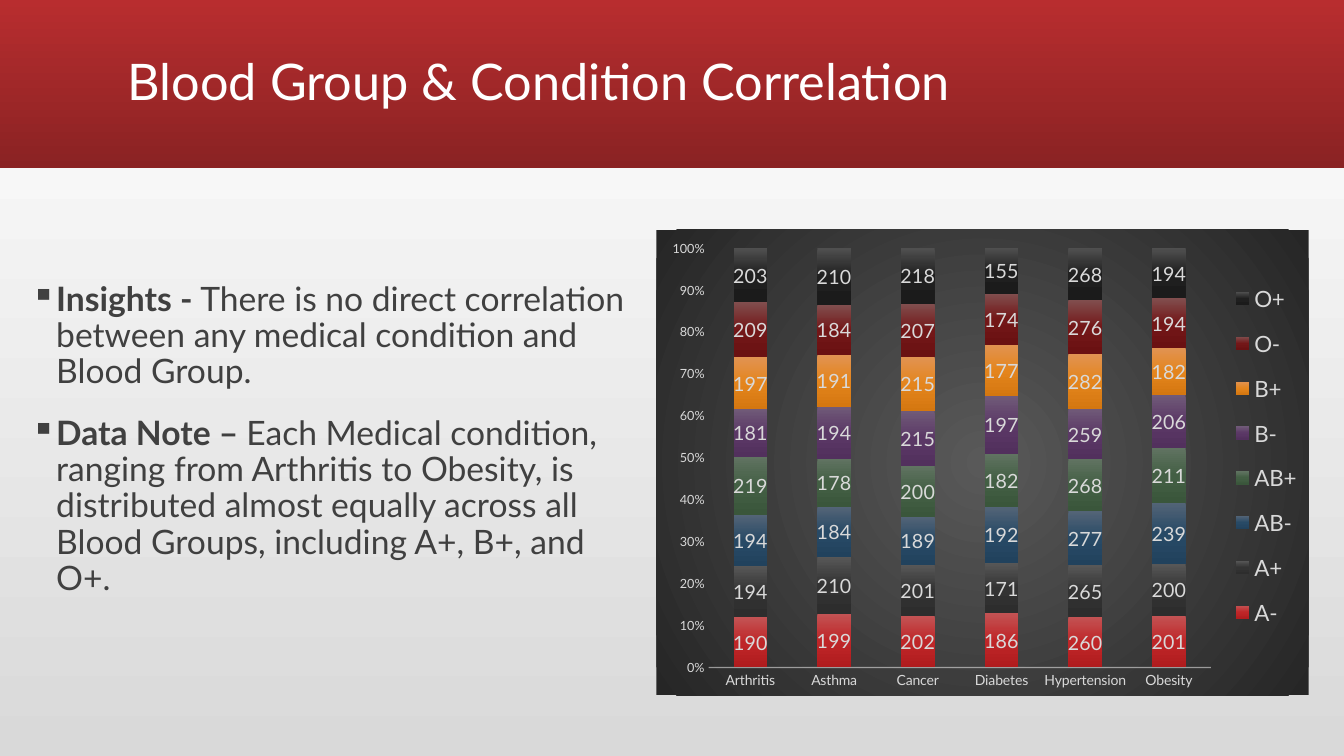
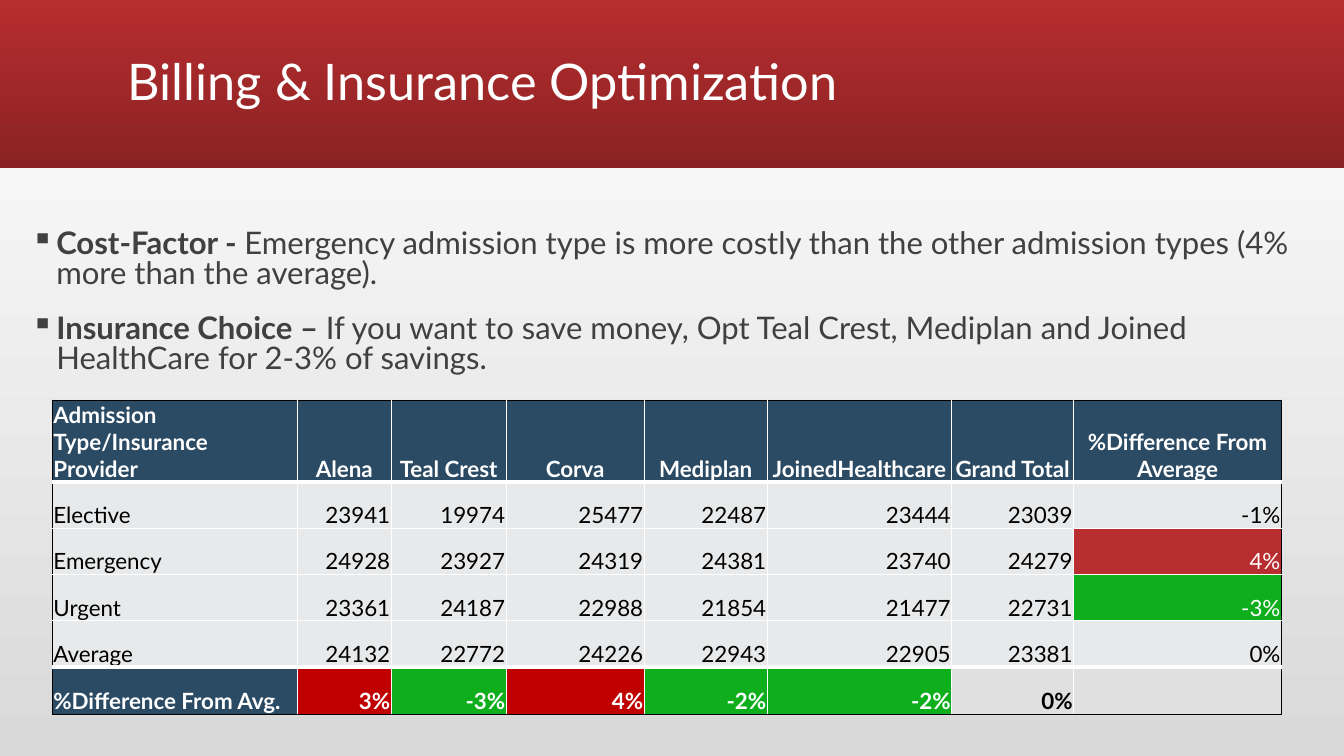
from lxml import etree
from pptx import Presentation, util as u
from pptx.chart.data import CategoryChartData
from pptx.dml.color import RGBColor
from pptx.enum import chart as ch, shapes, text
from pptx.oxml import parse_xml
from pptx.oxml.ns import nsdecls, qn

FONT = "Lato"
WHITE, BLACK, INK, PALE = "FFFFFF", "000000", "404040", "D9D9D9"
RED, WINE, NAVY = "B82D2F", "8A2223", "2B4A63"
GREEN, ALERT, CELL, TOTAL = "0EAE1D", "C00000", "E8E9EA", "E0E0E1"

CONDITIONS = ["Arthritis", "Asthma", "Cancer", "Diabetes", "Hypertension", "Obesity"]
GROUPS = [
    ("A-", [190, 199, 202, 186, 260, 201], ["C35354", "BF2628", "B01C1E"]),
    ("A+", [194, 210, 201, 171, 265, 200], ["575757", "333333", "2D2D2D"]),
    ("AB-", [194, 184, 189, 192, 277, 239], ["536477", "284A66", "21425D"]),
    ("AB+", [219, 178, 200, 182, 268, 211], ["607361", "435F44", "3A563B"]),
    ("B-", [181, 194, 215, 197, 259, 206], ["705A78", "5B3866", "52305D"]),
    ("B+", [197, 191, 215, 177, 282, 182], ["E19352", "E4851D", "D47710"]),
    ("O-", [209, 184, 207, 174, 276, 194], ["814E4E", "731718", "6A1112"]),
    ("O+", [203, 210, 218, 155, 268, 194], ["4F4F4F", "1F1F1F", "1B1B1B"]),
]

COSTS = [
    ["Admission Type/Insurance Provider", "Alena", "Teal Crest", "Corva",
     "Mediplan", "JoinedHealthcare", "Grand Total", "%Difference From Average"],
    ["Elective", "23941", "19974", "25477", "22487", "23444", "23039", "-1%"],
    ["Emergency", "24928", "23927", "24319", "24381", "23740", "24279", "4%"],
    ["Urgent", "23361", "24187", "22988", "21854", "21477", "22731", "-3%"],
    ["Average", "24132", "22772", "24226", "22943", "22905", "23381", "0%"],
    ["%Difference From Avg.", "3%", "-3%", "4%", "-2%", "-2%", "0%", ""],
]
WIDTHS = [2.43, 0.93, 1.14, 1.37, 1.22, 1.83, 1.21, 2.06]
HEIGHTS = [0.55, 0.46, 0.46, 0.46, 0.46, 0.47]
LAST_ROW, LAST_COL = len(HEIGHTS) - 1, len(WIDTHS) - 1
MARKS = {(2, LAST_COL): RED, (3, LAST_COL): GREEN}


def rgb(code):
    return RGBColor.from_string(code)


def box(*lengths):
    return [u.Inches(n) for n in lengths]


def grad(stops, angle=None):
    """Gradient of evenly spaced colours: linear, or circular with no angle."""
    gaps = len(stops) - 1
    marks = "".join(
        f'<a:gs pos="{100000 * i // gaps}"><a:srgbClr val="{code}"/></a:gs>'
        for i, code in enumerate(stops))
    if angle is None:
        way = ('<a:path path="circle"><a:fillToRect l="50000" t="50000" '
               'r="50000" b="50000"/></a:path>')
    else:
        way = f'<a:lin ang="{angle * 60000}" scaled="0"/>'
    return parse_xml(f'<a:gradFill {nsdecls("a")} rotWithShape="1">'
                     f'<a:gsLst>{marks}</a:gsLst>{way}</a:gradFill>')


def shade(fill, root, stops, angle):
    """Swap a solid fill, the first one under root, for a gradient."""
    fill.solid()
    fill.fore_color.rgb = rgb(stops[0])
    old = root.find(".//" + qn("a:solidFill"))
    old.getparent().replace(old, grad(stops, angle))


def style(font, size, color, bold=False):
    font.name, font.size, font.bold = FONT, u.Pt(size), bold
    font.color.rgb = rgb(color)


def add_run(para, words, size, color, bold=False):
    run = para.add_run()
    run.text = words
    style(run.font, size, color, bold)


def add_frame(slide, area, anchor=text.MSO_ANCHOR.TOP):
    frame = slide.shapes.add_textbox(*box(*area)).text_frame
    frame.word_wrap, frame.vertical_anchor = True, anchor
    return frame


def add_page(deck, title):
    """Blank slide with the shared background, band and title."""
    slide = deck.slides.add_slide(deck.slide_layouts[6])
    shade(slide.background.fill, slide.element, [PALE, WHITE], 270)
    band = slide.shapes.add_shape(
        shapes.MSO_SHAPE.RECTANGLE, *box(0, 0, 13.33, 1.67))
    band.shadow.inherit = False
    band.line.fill.background()
    shade(band.fill, band.element, [RED, WINE], 90)
    frame = add_frame(slide, (1.17, 0.11, 11, 1.45), text.MSO_ANCHOR.MIDDLE)
    para = frame.paragraphs[0]
    para.line_spacing = 0.9
    add_run(para, title, 36, WHITE)
    return slide


def add_points(slide, area, size, spacing, points):
    """Bulleted paragraphs, each a bold lead and plain text."""
    frame = add_frame(slide, area)
    for i, (lead, body) in enumerate(points):
        para = frame.add_paragraph() if i else frame.paragraphs[0]
        para.line_spacing = spacing
        para.space_before = u.Pt(18 if i else 0)
        props = para._p.get_or_add_pPr()
        indent = u.Inches(0.25)
        props.set("marL", str(indent))
        props.set("indent", str(-indent))
        etree.SubElement(props, qn("a:buChar")).set("char", "▪")
        add_run(para, lead, size, INK, True)
        add_run(para, body, size, INK)


def place(parent, index, x, y, w, h, inner=False):
    """Fix a chart part at fractions of the chart area."""
    for old in parent.findall(qn("c:layout")):
        parent.remove(old)
    target = '<c:layoutTarget val="inner"/>' if inner else ""
    parent.insert(index, parse_xml(
        f'<c:layout {nsdecls("c")}><c:manualLayout>{target}'
        '<c:xMode val="edge"/><c:yMode val="edge"/>'
        f'<c:x val="{x}"/><c:y val="{y}"/><c:w val="{w}"/><c:h val="{h}"/>'
        '</c:manualLayout></c:layout>'))


def add_chart(slide, area):
    data = CategoryChartData()
    data.categories = CONDITIONS
    for name, values, _ in GROUPS:
        data.add_series(name, values)
    chart = slide.shapes.add_chart(
        ch.XL_CHART_TYPE.COLUMN_STACKED_100, *box(*area), data).chart
    style(chart.font, 10, BLACK)
    chart.has_title = False

    frame = parse_xml(f'<c:spPr {nsdecls("c", "a")}><a:ln><a:noFill/></a:ln></c:spPr>')
    frame.insert(0, grad(["595959", "262626"]))
    root = chart._chartSpace
    root.find(qn("c:chart")).addnext(frame)

    plot = chart.plots[0]
    plot.gap_width, plot.overlap, plot.vary_by_categories = 150, 100, False
    for series, (_, _, stops) in zip(plot.series, GROUPS):
        shade(series.format.fill, series._element, stops, 90)
        labels = series.data_labels
        labels.show_value = True
        labels.position = ch.XL_LABEL_POSITION.CENTER
        style(labels.font, 14, PALE)

    for axis, size in ((chart.category_axis, 10), (chart.value_axis, 9)):
        axis.major_tick_mark = axis.minor_tick_mark = ch.XL_TICK_MARK.NONE
        axis.has_major_gridlines = False
        style(axis.tick_labels.font, size, PALE)
    labels = chart.value_axis.tick_labels
    labels.number_format, labels.number_format_is_linked = "0%", False
    chart.value_axis.format.line.fill.background()
    line = chart.category_axis.format.line
    line.width = u.Pt(1)
    line.color.rgb = rgb("F2F2F2")
    tone = chart.category_axis._element.find(
        f'{qn("c:spPr")}//{qn("a:srgbClr")}')
    etree.SubElement(tone, qn("a:alpha")).set("val", "54000")

    chart.has_legend = True
    legend = chart.legend
    legend.position = ch.XL_LEGEND_POSITION.RIGHT
    legend.include_in_layout = False
    style(legend.font, 16, PALE)
    place(legend._element, 1, 0.88, 0.08, 0.11, 0.81)
    place(root.find(".//" + qn("c:plotArea")), 0, 0.08, 0.04, 0.77, 0.9, True)


def edge(cell, row, col):
    """Black outside, white inside, thick beside the first and last rows."""
    sides = [
        ("L", col == 0, False),
        ("R", col == LAST_COL, False),
        ("T", row == 0, row == LAST_ROW),
        ("B", row == LAST_ROW, row in (0, LAST_ROW - 1)),
    ]
    props = cell._tc.get_or_add_tcPr()
    for i, (side, outer, thick) in enumerate(sides):
        props.insert(i, parse_xml(
            f'<a:ln{side} {nsdecls("a")} w="{u.Pt(3 if thick else 1)}">'
            f'<a:solidFill><a:srgbClr val="{BLACK if outer else WHITE}"/>'
            f'</a:solidFill></a:ln{side}>'))


def tint(row, col, value):
    if row == 0 or (row == LAST_ROW and col == 0):
        return NAVY
    if row < LAST_ROW:
        return MARKS.get((row, col), CELL)
    if value in ("", "0%"):
        return TOTAL
    return GREEN if value.startswith("-") else ALERT


def add_table(slide, left, top):
    area = box(left, top, sum(WIDTHS), sum(HEIGHTS))
    table = slide.shapes.add_table(len(HEIGHTS), len(WIDTHS), *area).table
    table.first_row = table.horz_banding = False
    for column, width in zip(table.columns, WIDTHS):
        column.width = u.Inches(width)
    for row, height in enumerate(HEIGHTS):
        table.rows[row].height = u.Inches(height)
        for col, value in enumerate(COSTS[row]):
            cell = table.cell(row, col)
            color = tint(row, col, value)
            cell.fill.solid()
            cell.fill.fore_color.rgb = rgb(color)
            cell.vertical_anchor = text.MSO_ANCHOR.BOTTOM
            cell.margin_left = cell.margin_right = cell.margin_top = u.Inches(0.01)
            cell.margin_bottom = 0
            edge(cell, row, col)
            para = cell.text_frame.paragraphs[0]
            if col:
                para.alignment = text.PP_ALIGN.RIGHT if row else text.PP_ALIGN.CENTER
            if value:
                ink = BLACK if color in (CELL, TOTAL) else WHITE
                add_run(para, value, 16, ink, row in (0, LAST_ROW))


def main():
    deck = Presentation()
    deck.slide_width, deck.slide_height = box(13.33, 7.5)

    slide = add_page(deck, "Blood Group & Condition Correlation")
    add_points(slide, (0.21, 2.75, 6.2, 4.39), 24, 0.9, [
        ("Insights -", " There is no direct correlation between any medical "
         "condition and Blood Group."),
        ("Data Note – ", "Each Medical condition, ranging from Arthritis to "
         "Obesity, is distributed almost equally across all Blood Groups, "
         "including A+, B+, and O+."),
    ])
    add_chart(slide, (6.51, 2.28, 6.47, 4.62))

    slide = add_page(deck, "Billing & Insurance Optimization")
    add_points(slide, (0.21, 2.24, 12.91, 1.51), 22.2, 0.8, [
        ("Cost-Factor - ", "Emergency admission type is more costly than the "
         "other admission types (4% more than the average)."),
        ("Insurance Choice – ", "If you want to save money, Opt Teal Crest, "
         "Mediplan and Joined HealthCare for 2-3% of savings."),
    ])
    add_table(slide, 0.52, 3.97)
    deck.save("out.pptx")


if __name__ == "__main__":
    main()
